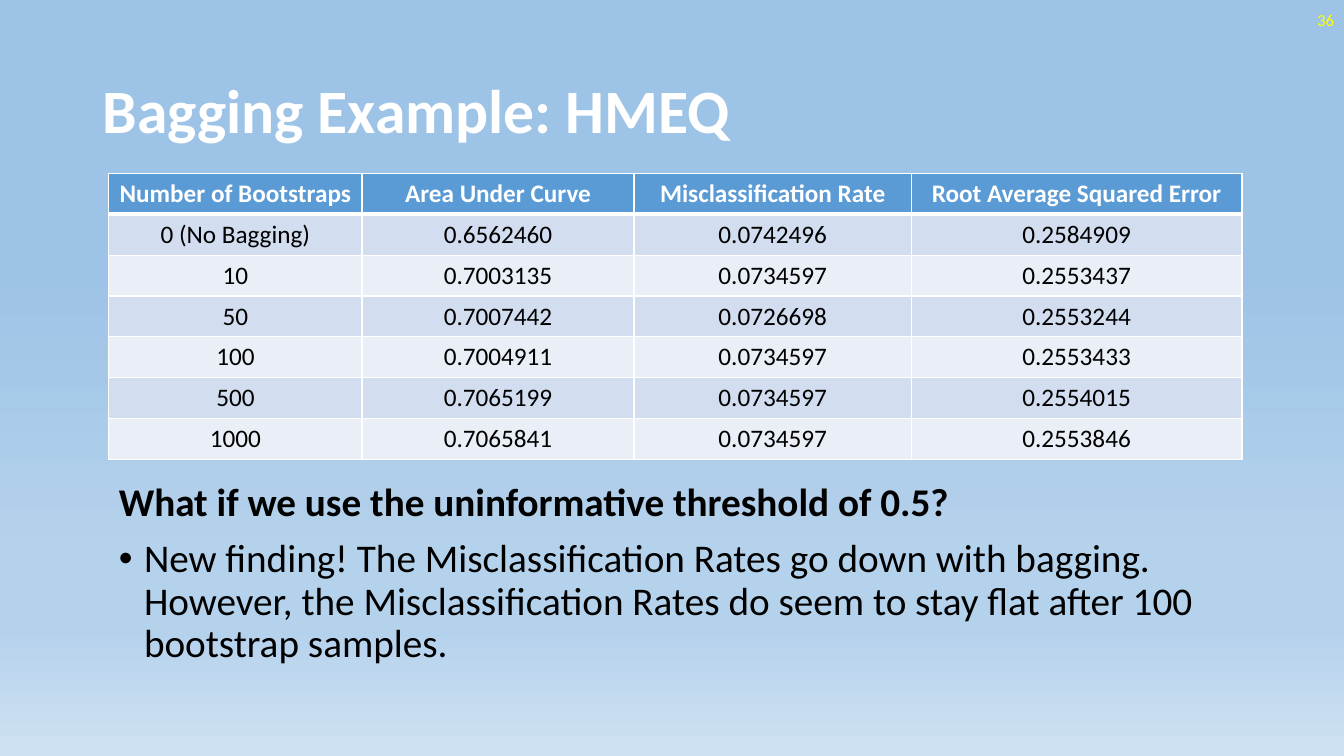
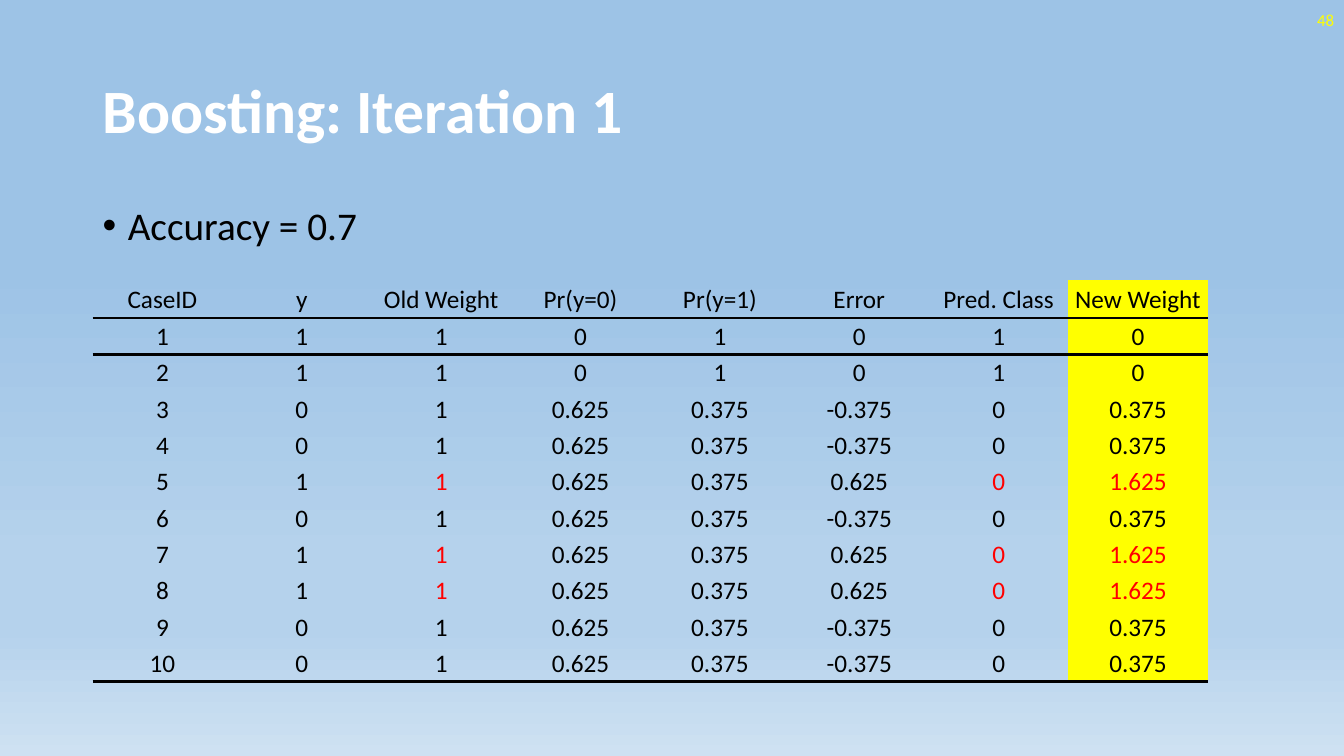
from lxml.etree import SubElement
from pptx import Presentation
from pptx.dml.color import RGBColor
from pptx.enum.text import MSO_ANCHOR, MSO_AUTO_SIZE, PP_ALIGN
from pptx.oxml.ns import qn
from pptx.util import Emu, Inches, Pt

FONT = "Calibri"
WHITE = RGBColor(0xFF, 0xFF, 0xFF)
BLACK = RGBColor(0, 0, 0)
YELLOW = RGBColor(0xFF, 0xFF, 0)
RED = RGBColor(0xFF, 0, 0)
HEADER_BLUE = RGBColor(0x5B, 0x9B, 0xD5)
BANDS = (RGBColor(0xD2, 0xDE, 0xEF), RGBColor(0xEA, 0xEF, 0xF7))
SKY = RGBColor(0x9D, 0xC3, 0xE6)
PALE_SKY = RGBColor(0xB5, 0xD2, 0xEC)
HORIZON = RGBColor(0xCE, 0xE1, 0xF2)
BACKGROUND_STOPS = ((35, SKY), (74, PALE_SKY), (83, PALE_SKY), (100, HORIZON))

SLIDE_WIDTH, SLIDE_HEIGHT = Inches(13.33), Inches(7.5)
# Places and sizes are percentages of the slide's width and height.
MARGIN = 6.9
INDENTED_MARGIN = 8.1
CONTENT_WIDTH = 86.25
TITLE_BOX = (MARGIN, 5.33, CONTENT_WIDTH, 19.33)
NUMBER_BOX = (77.5, 0, 22.5, 5.33)
NO_STYLE_NO_GRID = "{2D5ABB26-0587-4C30-8999-92F81FD0307C}"

BAGGING_HEADER = ("Number of Bootstraps", "Area Under Curve",
                  "Misclassification Rate", "Root Average Squared Error")
BAGGING_ROWS = (
    ("0 (No Bagging)", "0.6562460", "0.0742496", "0.2584909"),
    ("10", "0.7003135", "0.0734597", "0.2553437"),
    ("50", "0.7007442", "0.0726698", "0.2553244"),
    ("100", "0.7004911", "0.0734597", "0.2553433"),
    ("500", "0.7065199", "0.0734597", "0.2554015"),
    ("1000", "0.7065841", "0.0734597", "0.2553846"),
)
BAGGING_WIDTHS = (18.83, 20.25, 20.63, 24.6)

BOOSTING_HEADER = ("CaseID", "y", "Old Weight", "Pr(y=0)", "Pr(y=1)",
                   "Error", "Pred. Class", "New Weight")
BOOSTING_OUTCOMES = (1, 1, 0, 0, 1, 0, 1, 1, 0, 0)
OLD_WEIGHT, PREDICTED_CLASS, NEW_WEIGHT = 2, 6, 7


def across(share):
    return Emu(round(SLIDE_WIDTH * share / 100))


def down(share):
    return Emu(round(SLIDE_HEIGHT * share / 100))


def place(left, top, width, height):
    return across(left), down(top), across(width), down(height)


def write(paragraph, text, size=18, color=BLACK, bold=False,
          align=PP_ALIGN.LEFT, line_spacing=None, space_before=0, bullet=False):
    paragraph.alignment = align
    paragraph.space_before = Pt(space_before)
    if line_spacing:
        paragraph.line_spacing = line_spacing
    if bullet:
        properties = paragraph._p.get_or_add_pPr()
        properties.set("marL", str(Inches(0.25)))
        properties.set("indent", str(-Inches(0.25)))
        SubElement(properties, qn("a:buFont"), typeface="Arial")
        SubElement(properties, qn("a:buChar"), char="•")
    run = paragraph.add_run()
    run.text = text
    run.font.name = FONT
    run.font.size = Pt(size)
    run.font.bold = bold
    run.font.color.rgb = color


def paint_background(master):
    fill = master.background.fill
    fill.gradient()
    fill.gradient_angle = 270
    stops = master.element.find(".//" + qn("a:gsLst"))
    for stop in list(stops):
        stops.remove(stop)
    for position, color in BACKGROUND_STOPS:
        stop = SubElement(stops, qn("a:gs"), pos=str(position * 1000))
        SubElement(stop, qn("a:srgbClr"), val=str(color))


def add_text_box(slide, box, anchor=MSO_ANCHOR.TOP):
    frame = slide.shapes.add_textbox(*place(*box)).text_frame
    frame.word_wrap = True
    frame.vertical_anchor = anchor
    return frame


def add_titled_slide(presentation, title_text, number):
    slide = presentation.slides.add_slide(presentation.slide_layouts[5])
    title = slide.shapes.title
    title.left, title.top, title.width, title.height = place(*TITLE_BOX)
    frame = title.text_frame
    frame.auto_size = MSO_AUTO_SIZE.NONE
    frame.vertical_anchor = MSO_ANCHOR.MIDDLE
    write(frame.paragraphs[0], title_text, size=44, color=WHITE, bold=True,
          line_spacing=0.9)
    number_frame = add_text_box(slide, NUMBER_BOX, MSO_ANCHOR.MIDDLE)
    write(number_frame.paragraphs[0], str(number), size=12, color=YELLOW,
          align=PP_ALIGN.RIGHT)
    return slide


def add_body(slide, box, *paragraphs):
    """Each paragraph is a pair of its text and its keyword formats."""
    frame = add_text_box(slide, box)
    for index, (text, formats) in enumerate(paragraphs):
        paragraph = frame.add_paragraph() if index else frame.paragraphs[0]
        write(paragraph, text, size=28, line_spacing=0.9, space_before=10, **formats)


def add_plain_table(slide, left, top, widths, heights):
    """Add a table with neither bands nor grid lines."""
    box = place(left, top, sum(widths), sum(heights))
    table = slide.shapes.add_table(len(heights), len(widths), *box).table
    table.first_row = table.horz_banding = False
    table._tbl.tblPr.find(qn("a:tableStyleId")).text = NO_STYLE_NO_GRID
    for column, width in zip(table.columns, widths):
        column.width = across(width)
    for row, height in zip(table.rows, heights):
        row.height = down(height)
    return table


def set_borders(cell, color, **widths):
    """Draw the sides named L, R, T and B, each with its width in points."""
    properties = cell._tc.get_or_add_tcPr()
    for side in "LRTB":
        if side in widths:
            line = SubElement(properties, qn("a:ln" + side), w=str(Pt(widths[side])))
            fill = SubElement(line, qn("a:solidFill"))
            SubElement(fill, qn("a:srgbClr"), val=str(color))


def fill_cell(cell, color=None):
    if color is None:
        cell.fill.background()
    else:
        cell.fill.solid()
        cell.fill.fore_color.rgb = color


def add_bagging_table(slide):
    rows = (BAGGING_HEADER, *BAGGING_ROWS)
    table = add_plain_table(slide, INDENTED_MARGIN, 22.93, BAGGING_WIDTHS,
                            [5.41] * len(rows))
    for row, values in enumerate(rows):
        header = row == 0
        for column, value in enumerate(values):
            cell = table.cell(row, column)
            write(cell.text_frame.paragraphs[0], value, bold=header,
                  color=WHITE if header else BLACK, align=PP_ALIGN.CENTER)
            set_borders(cell, WHITE, L=1, R=1, T=3 if row == 1 else 1,
                        B=3 if header else 1)
            fill_cell(cell, HEADER_BLUE if header else BANDS[(row - 1) % 2])


def boosting_row(case, outcome):
    """Return the values of one case and whether it is misclassified."""
    probability = 1 if case <= 2 else 0.375
    error = outcome - probability
    predicted = int(probability > 0.5)
    missed = predicted != outcome
    values = (case, outcome, 1, 1 - probability, probability, error, predicted,
              abs(error) + missed)
    return [f"{value:g}" for value in values], missed


def add_boosting_table(slide):
    rows = [(BOOSTING_HEADER, False)]
    rows += [boosting_row(*case) for case in enumerate(BOOSTING_OUTCOMES, 1)]
    last = len(rows) - 1
    table = add_plain_table(slide, MARGIN, 37.07, [10.37] * len(BOOSTING_HEADER),
                            [5] + [4.81] * last)
    for row, (values, missed) in enumerate(rows):
        for column, value in enumerate(values):
            cell = table.cell(row, column)
            cell.vertical_anchor = MSO_ANCHOR.MIDDLE
            cell.margin_left = cell.margin_right = cell.margin_top = Inches(0.01)
            cell.margin_bottom = 0
            marked = missed and column in (OLD_WEIGHT, PREDICTED_CLASS, NEW_WEIGHT)
            write(cell.text_frame.paragraphs[0], value, align=PP_ALIGN.CENTER,
                  color=RED if marked else BLACK)
            if row in (0, last):
                set_borders(cell, BLACK, B=2)
            elif row == 1:
                set_borders(cell, BLACK, T=2)
            fill_cell(cell, YELLOW if column == NEW_WEIGHT else None)


def add_bagging_slide(presentation):
    slide = add_titled_slide(presentation, "Bagging Example: HMEQ", 36)
    add_bagging_table(slide)
    add_body(
        slide, (INDENTED_MARGIN, 63.2, CONTENT_WIDTH, 29.07),
        ("What if we use the uninformative threshold of 0.5?", {"bold": True}),
        ("New finding! The Misclassification Rates go down with bagging. "
         "However, the Misclassification Rates do seem to stay flat after "
         "100 bootstrap samples.", {"bullet": True}))


def add_boosting_slide(presentation):
    slide = add_titled_slide(presentation, "Boosting: Iteration 1", 48)
    add_body(slide, (MARGIN, 26.67, CONTENT_WIDTH, 63.47),
             ("Accuracy = 0.7", {"bullet": True}))
    add_boosting_table(slide)


def main():
    presentation = Presentation()
    presentation.slide_width, presentation.slide_height = SLIDE_WIDTH, SLIDE_HEIGHT
    paint_background(presentation.slide_master)
    add_bagging_slide(presentation)
    add_boosting_slide(presentation)
    presentation.save("out.pptx")


if __name__ == "__main__":
    main()
